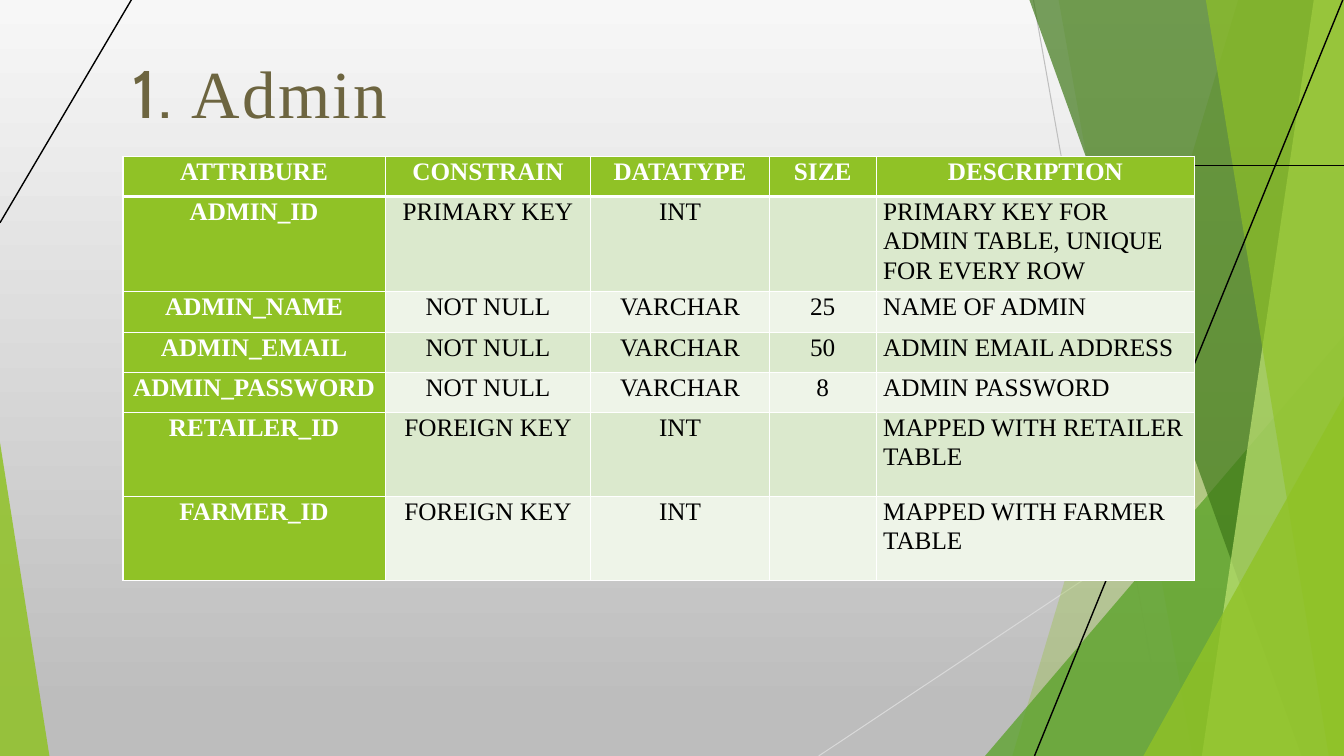
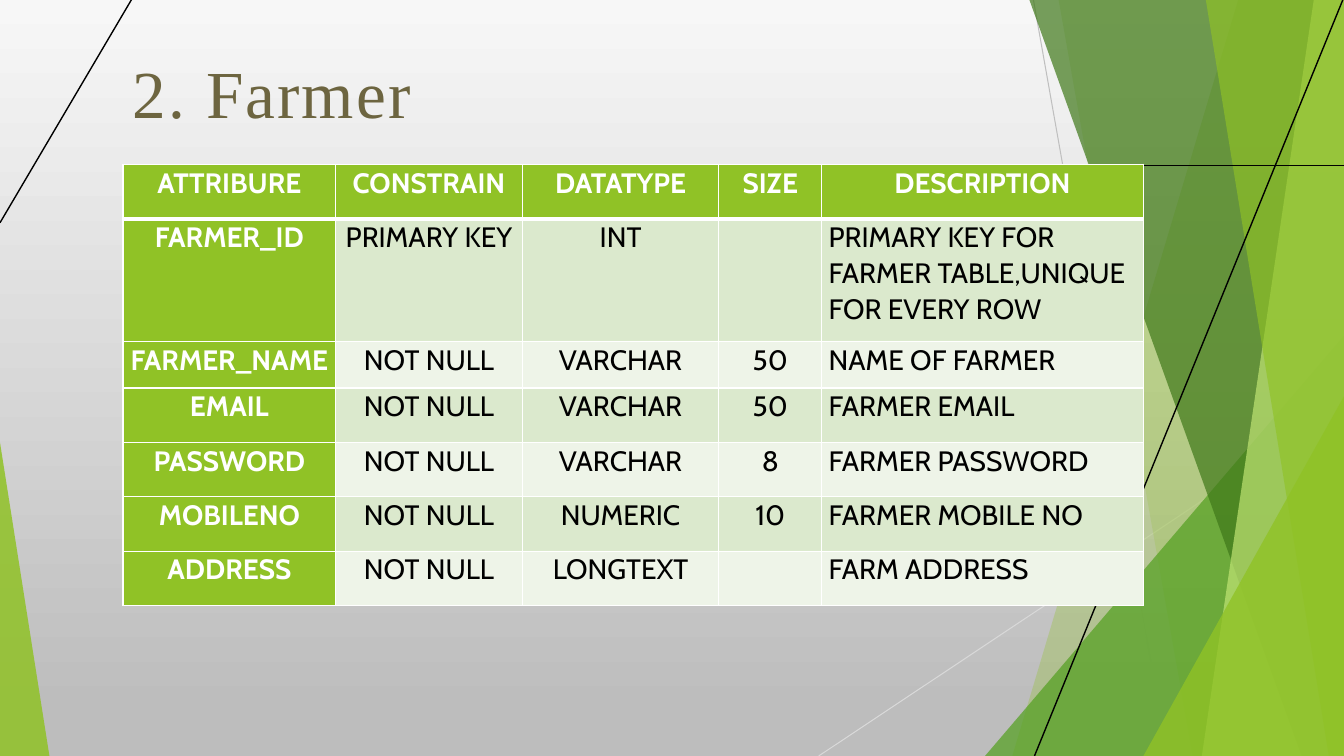
"""Builds two slides that describe database tables on a faceted green backdrop."""
from dataclasses import dataclass

from lxml import etree
from pptx import Presentation
from pptx.dml.color import RGBColor
from pptx.enum import shapes, text
from pptx.oxml import ns
from pptx.util import Inches, Pt


@dataclass(frozen=True)
class Theme:
    """Colours, fonts and type sizes shared by the slides."""
    width: float = 13.33
    height: float = 7.5
    lime: str = "90C226"
    green: str = "54A021"
    forest: str = "3F7819"
    pale: str = "C0E474"
    title: str = "6D6540"
    white: str = "FFFFFF"
    black: str = "000000"
    light_line: str = "D9D9D9"
    grey_line: str = "BFBFBF"
    backdrop: tuple = ((0, "F7F7F7"), (0.94, "BDBDBD"))
    bands: tuple = ("DBE9CD", "EEF4E8")
    serif: str = "Times New Roman"
    sans: str = "Cabin"
    title_size: int = 48


THEME = Theme()
TITLE_BOX = (1.22, 0.37, 7.97, 0.99)
HEADINGS = ("ATTRIBURE", "CONSTRAIN", "DATATYPE", "SIZE", "DESCRIPTION")
ADMIN_ROWS = (
    HEADINGS,
    ("ADMIN_ID", "PRIMARY KEY", "INT", "", "PRIMARY KEY FOR ADMIN TABLE, UNIQUE FOR EVERY ROW"),
    ("ADMIN_NAME", "NOT NULL", "VARCHAR", "25", "NAME OF ADMIN"),
    ("ADMIN_EMAIL", "NOT NULL", "VARCHAR", "50", "ADMIN EMAIL ADDRESS"),
    ("ADMIN_PASSWORD", "NOT NULL", "VARCHAR", "8", "ADMIN PASSWORD"),
    ("RETAILER_ID", "FOREIGN KEY", "INT", "", "MAPPED WITH RETAILER TABLE"),
    ("FARMER_ID", "FOREIGN KEY", "INT", "", "MAPPED WITH FARMER TABLE"),
)
FARMER_ROWS = (
    HEADINGS,
    ("FARMER_ID", "PRIMARY KEY", "INT", "", "PRIMARY KEY FOR FARMER TABLE,UNIQUE FOR EVERY ROW"),
    ("FARMER_NAME", "NOT NULL", "VARCHAR", "50", "NAME OF FARMER"),
    ("EMAIL", "NOT NULL", "VARCHAR", "50", "FARMER EMAIL"),
    ("PASSWORD", "NOT NULL", "VARCHAR", "8", "FARMER PASSWORD"),
    ("MOBILENO", "NOT NULL", "NUMERIC", "10", "FARMER MOBILE NO"),
    ("ADDRESS", "NOT NULL", "LONGTEXT", "", "FARM ADDRESS"),
)


def rgb(colour):
    """Turns a hex string into a colour."""
    return RGBColor.from_string(colour)


def paint(shape, colour, opacity):
    """Gives a shape a see-through fill without line or shadow."""
    shape.shadow.inherit = False
    shape.line.fill.background()
    shape.fill.solid()
    shape.fill.fore_color.rgb = rgb(colour)
    tint = shape.element.spPr.find(ns.qn("a:solidFill")).find(ns.qn("a:srgbClr"))
    etree.SubElement(tint, ns.qn("a:alpha")).set("val", str(opacity * 1000))


def add_line(slide, start, end, colour, weight):
    """Draws a straight line without shadow."""
    points = [Inches(value) for value in (*start, *end)]
    line = slide.shapes.add_connector(shapes.MSO_CONNECTOR.STRAIGHT, *points)
    line.line.color.rgb = rgb(colour)
    line.line.width = Pt(weight)
    etree.SubElement(line.element.spPr, ns.qn("a:effectLst"))


def add_facet(slide, top_left, bottom_left, colour, opacity):
    """Draws a full-height facet that ends at the right edge of the slide."""
    right, bottom = THEME.width, THEME.height
    corners = [(top_left, 0), (right, 0), (right, bottom), (bottom_left, bottom)]
    points = [(Inches(x), Inches(y)) for x, y in corners]
    builder = slide.shapes.build_freeform(*points[0], scale=1.0)
    builder.add_line_segments(points[1:], close=True)
    paint(builder.convert_to_shape(), colour, opacity)


def add_corner(slide, left, width, height, apex, colour, opacity):
    """Draws a triangle that stands on the bottom edge of the slide."""
    box = [Inches(value) for value in (left, THEME.height - height, width, height)]
    triangle = slide.shapes.add_shape(shapes.MSO_SHAPE.ISOSCELES_TRIANGLE, *box)
    triangle.adjustments[0] = apex
    paint(triangle, colour, opacity)


def add_backdrop(slide):
    """Draws the facets and lines behind the content."""
    right, bottom = THEME.width, THEME.height
    add_line(slide, (10.25, 0), (11.58, bottom), THEME.grey_line, 0.75)
    add_line(slide, (right, 4.03), (8.12, bottom), THEME.light_line, 0.75)
    add_facet(slide, 12.28, 10.04, THEME.lime, 30)
    add_facet(slide, 10.5, 11.83, THEME.lime, 20)
    add_corner(slide, 9.77, 3.56, 4.17, 1, THEME.green, 72)
    add_facet(slide, 10.21, 12.91, THEME.forest, 70)
    add_facet(slide, 13.03, 11.92, THEME.pale, 70)
    add_facet(slide, 11.96, 13.18, THEME.lime, 65)
    add_corner(slide, 11.34, 1.99, 3.57, 1, THEME.lime, 80)
    add_corner(slide, 0, 0.49, 3.11, 0, THEME.lime, 85)
    for start, end in (((9.95, 1.64), (right, 1.64)), ((right, -0.03), (10.26, bottom)),
                       ((0, 2.21), (1.32, -0.03))):
        add_line(slide, start, end, THEME.black, 1)


def set_background(layout):
    """Fills the layout with a grey gradient from top to bottom."""
    fill = layout.background.fill
    fill.gradient()
    fill.gradient_angle = 270
    for stop, (position, colour) in zip(fill.gradient_stops, THEME.backdrop):
        stop.position = position
        stop.color.rgb = rgb(colour)


def add_title(slide, box, pieces):
    """Writes the title from pairs of wording and font."""
    frame = slide.shapes.add_textbox(*[Inches(value) for value in box]).text_frame
    frame.word_wrap = True
    frame.vertical_anchor = text.MSO_ANCHOR.BOTTOM
    paragraph = frame.paragraphs[0]
    paragraph.font.size = Pt(THEME.title_size)
    paragraph.font.color.rgb = rgb(THEME.title)
    for wording, font in pieces:
        run = paragraph.add_run()
        run.text = wording
        run.font.name = font
        run._r.get_or_add_rPr().set("spc", "150")


def set_borders(cell, top, bottom):
    """Puts white borders around a cell, with the given top and bottom weights."""
    properties = cell._tc.get_or_add_tcPr()
    for side, weight in (("L", 1), ("R", 1), ("T", top), ("B", bottom)):
        border = etree.SubElement(properties, ns.qn("a:ln" + side), w=str(Pt(weight)))
        fill = etree.SubElement(border, ns.qn("a:solidFill"))
        etree.SubElement(fill, ns.qn("a:srgbClr"), val=THEME.white)


def fill_cell(cell, wording, row, column, font, size):
    """Writes and colours one cell according to its row and column."""
    heading = row == 0 or column == 0
    set_borders(cell, 3 if row == 1 else 1, 3 if row == 0 else 1)
    cell.fill.solid()
    cell.fill.fore_color.rgb = rgb(THEME.lime if heading else THEME.bands[(row - 1) % 2])
    cell.margin_left = cell.margin_right = Inches(0.07)
    cell.margin_top = cell.margin_bottom = 0
    cell.text = wording
    paragraph = cell.text_frame.paragraphs[0]
    centred = row == 0 or column < len(HEADINGS) - 1
    paragraph.alignment = text.PP_ALIGN.CENTER if centred else text.PP_ALIGN.LEFT
    paragraph.line_spacing = 1.05
    paragraph.space_after = Pt(10)
    paragraph.font.name = font
    paragraph.font.size = Pt(size)
    paragraph.font.bold = heading
    paragraph.font.color.rgb = rgb(THEME.white if heading else THEME.black)


def add_attribute_table(slide, origin, widths, heights, rows, font, size):
    """Places the attribute table with its top left corner at the origin."""
    box = [Inches(value) for value in (*origin, sum(widths), sum(heights))]
    table = slide.shapes.add_table(len(rows), len(widths), *box).table
    table.first_row = table.horz_banding = False
    for column, width in zip(table.columns, widths):
        column.width = Inches(width)
    for row, height in zip(table.rows, heights):
        row.height = Inches(height)
    for row, wordings in enumerate(rows):
        for column, wording in enumerate(wordings):
            fill_cell(table.cell(row, column), wording, row, column, font, size)


def share_backdrop(slide, layout):
    """Draws the backdrop once and moves it to the layout."""
    for placeholder in list(layout.placeholders):
        layout.shapes.element.remove(placeholder.element)
    set_background(layout)
    add_backdrop(slide)
    for shape in list(slide.shapes):
        layout.shapes.element.append(shape.element)


def main():
    """Builds and saves the presentation."""
    presentation = Presentation()
    presentation.slide_width = Inches(THEME.width)
    presentation.slide_height = Inches(THEME.height)
    layout = presentation.slide_layouts[6]

    admin = presentation.slides.add_slide(layout)
    share_backdrop(admin, layout)
    add_title(admin, TITLE_BOX, (("1. ", THEME.sans), ("Admin", THEME.serif)))
    add_attribute_table(admin, (1.22, 1.55), (2.6, 2.04, 1.77, 1.06, 3.16),
                        (0.4, 0.79, 0.4, 0.4, 0.4, 0.83, 0.83), ADMIN_ROWS, THEME.serif, 18)

    farmer = presentation.slides.add_slide(layout)
    add_title(farmer, TITLE_BOX, (("2. Farmer", THEME.serif),))
    add_attribute_table(farmer, (1.22, 1.63), (2.11, 1.85, 1.95, 1.02, 3.19),
                        (0.54, 1.22, 0.46, 0.54, 0.54, 0.54, 0.54), FARMER_ROWS, THEME.sans, 20)

    presentation.save("out.pptx")


if __name__ == "__main__":
    main()
